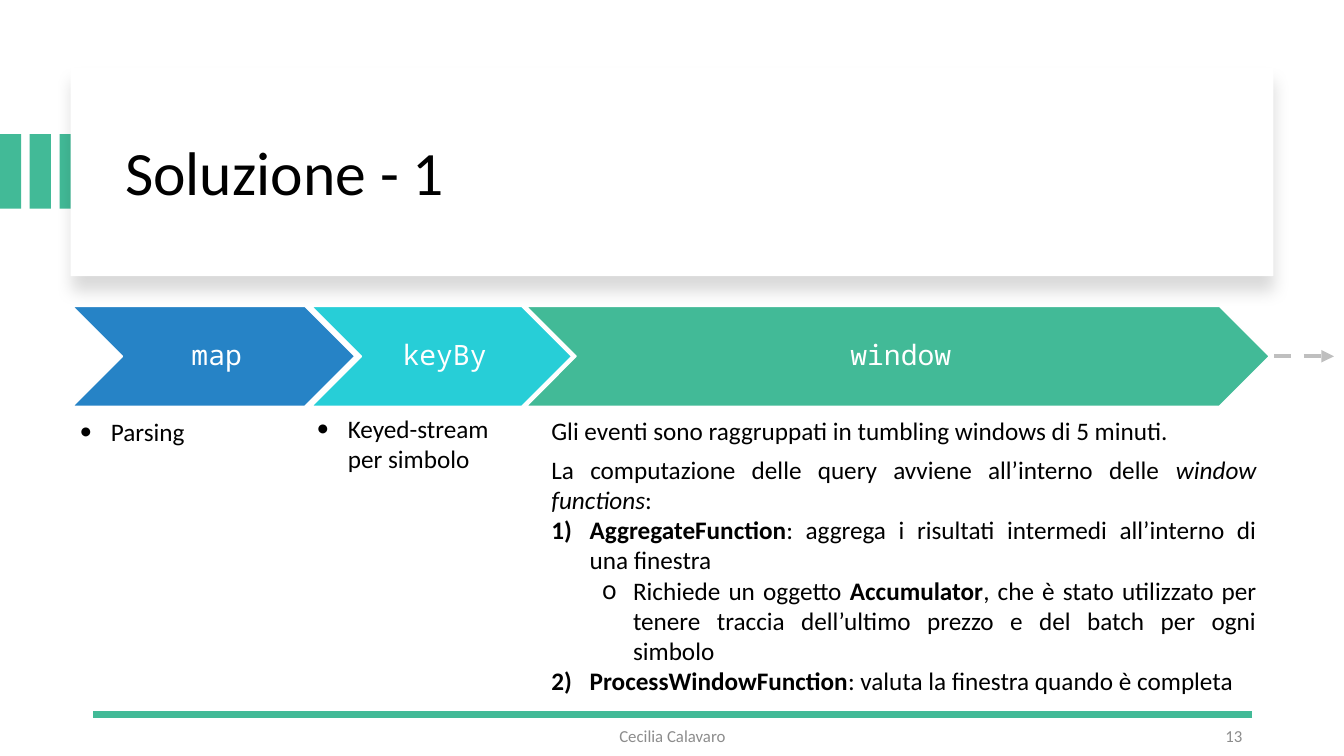
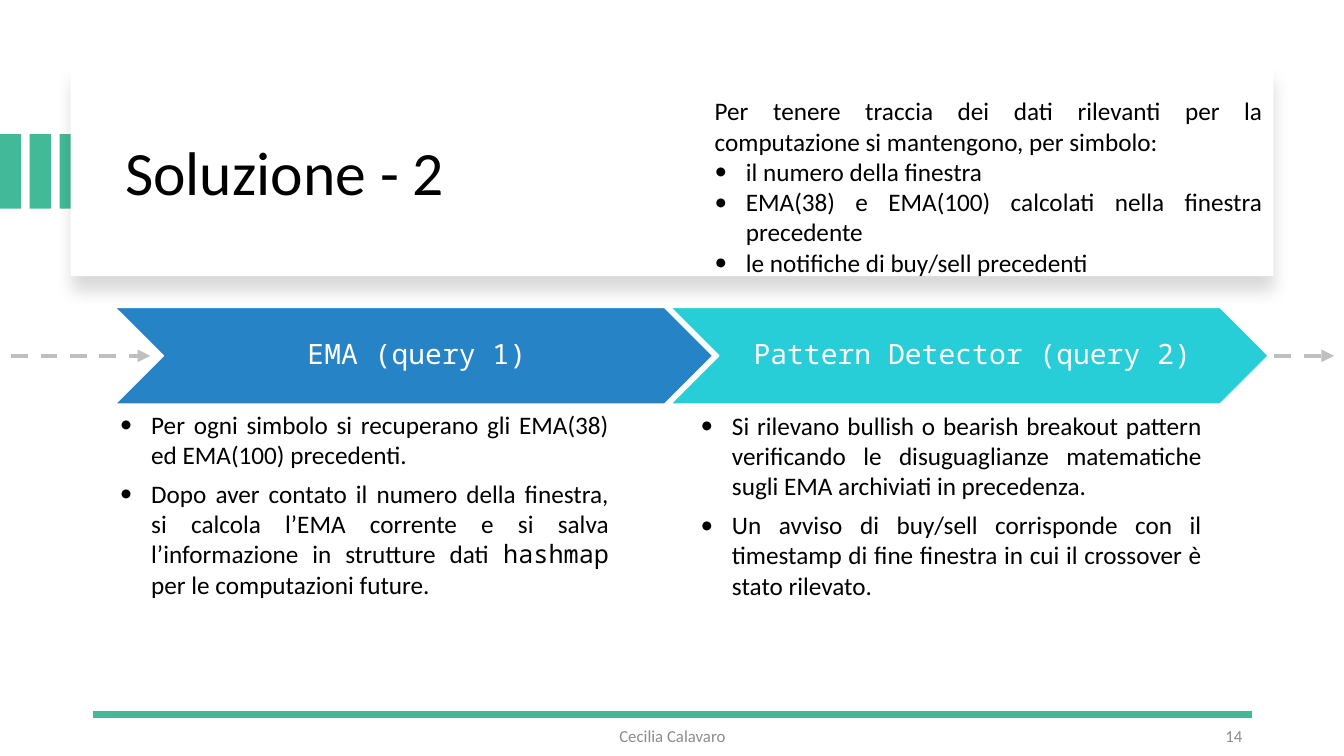
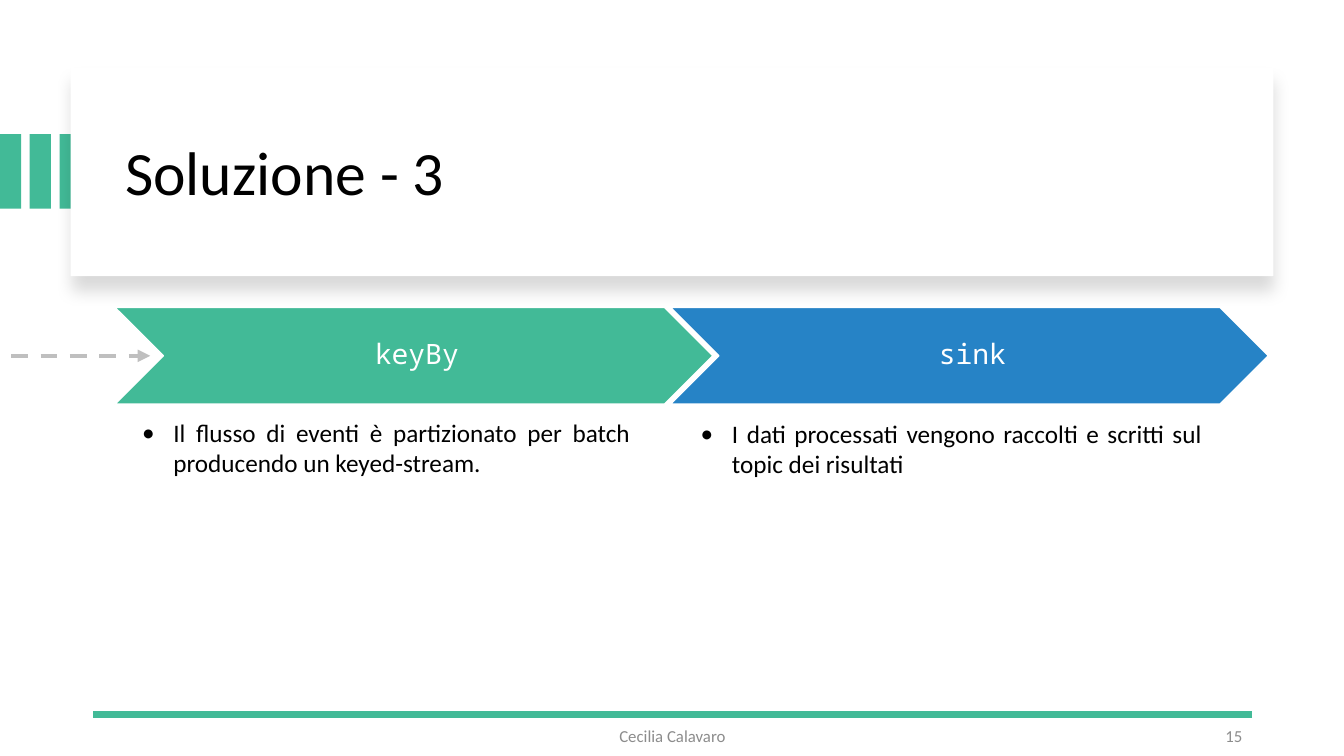
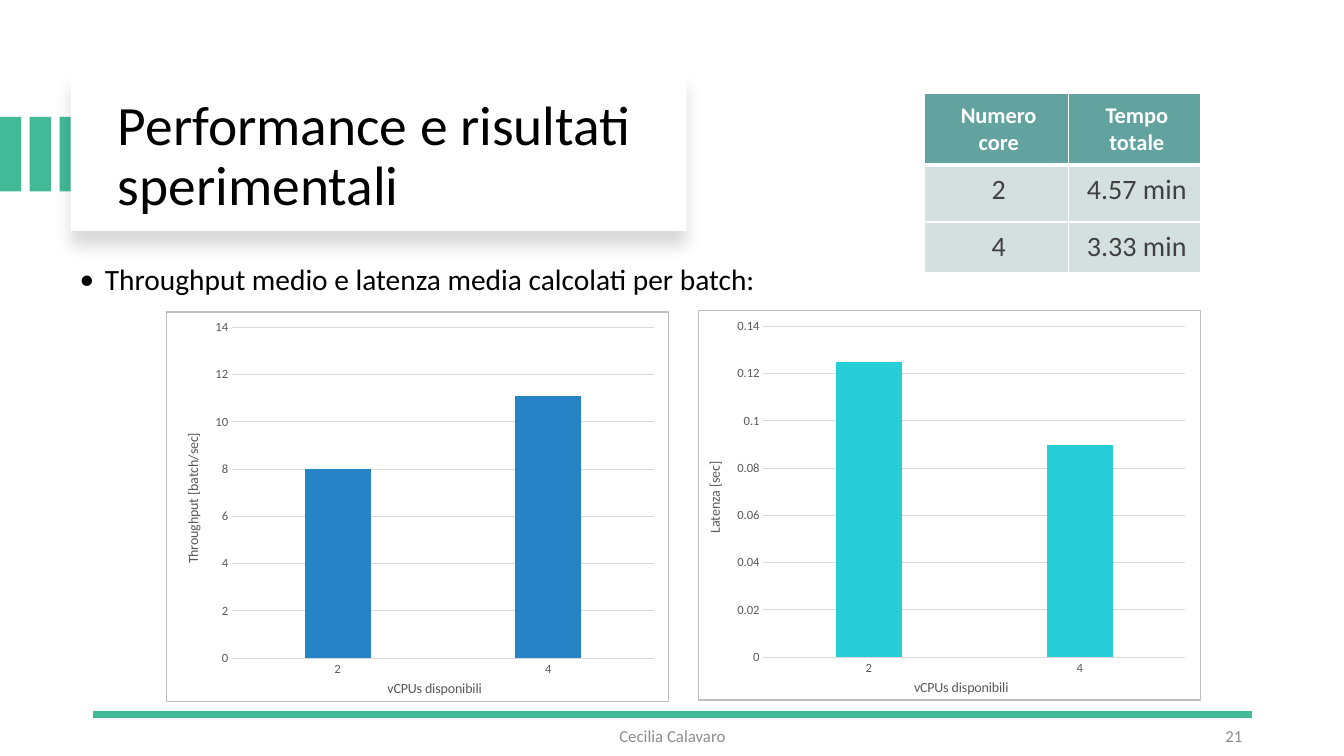
from pptx import Presentation
from pptx.chart import data as chart_data
from pptx.dml import color
from pptx.enum import chart as ce, dml, shapes, text
from pptx.oxml import ns, parse_xml
from pptx.util import Inches, Pt

GREEN, BLUE, CYAN = "42BA97", "2683C6", "27CED7"
WHITE, BLACK, GREY, ARROW = "FFFFFF", "000000", "8C8C8C", "BFBFBF"
AXIS, GRID, TEAL, PALE, DARK = "595959", "D9D9D9", "62A39F", "D3E0DF", "404040"
SANS, MONO = "Calibri", "Noto Sans Mono"
LEFT, CENTER, RIGHT, JUSTIFY = (
    text.PP_ALIGN.LEFT, text.PP_ALIGN.CENTER, text.PP_ALIGN.RIGHT, text.PP_ALIGN.JUSTIFY)
MIDDLE, TOP = text.MSO_ANCHOR.MIDDLE, text.MSO_ANCHOR.TOP

AUTHOR = "Cecilia Calavaro"
WIDE = {"card": (0.7, 0.67, 11.93, 2.07), "stripes": 1.33,
        "title_box": (1.14, 0.89, 11.13, 1.7), "title_size": 44}
NARROW = {"card": (0.7, 0.72, 6.11, 1.57), "stripes": 1.16,
          "title_box": (1.07, 1, 5.39, 1.13), "title_size": 39.6}

MARKERS = {
    "plain": (0, 0, 0, "<a:buNone/>", None),
    "dot": (0.31, -0.31, 0, '<a:buChar char="•"/>', SANS),
    "lead": (0.25, -0.25, 0, '<a:buChar char="•"/>', SANS),
    "number": (0.38, -0.38, 0, '<a:buAutoNum type="arabicParenR"/>', None),
    "circle": (0.81, -0.31, 1, '<a:buChar char="o"/>', MONO),
}

ENTRY, EXIT = (0.11, 1.49), (12.64, 13.23)
PIPELINES = [
    {"title": "Soluzione - 1", "number": 13, "band": (3.04, 0.99), "arrows": [EXIT],
     "steps": [("map", BLUE, 0.72, 2.8), ("keyBy", CYAN, 3.09, 2.58),
               ("window", GREEN, 5.22, 7.37)],
     "panels": [
         ((0.69, 4.08, 2.32, 0.71), LEFT, [("dot", 0, "Parsing")]),
         ((3.04, 4.05, 2.12, 0.71), LEFT, [("dot", 0, "Keyed-stream per simbolo")]),
         ((5.37, 4.07, 7.19, 2.91), JUSTIFY, [
             ("plain", 0, "Gli eventi sono raggruppati in tumbling windows di 5 minuti."),
             ("plain", 6, [("La computazione delle query avviene all’interno delle ", ""),
                           ("window functions", "italic"), (":", "")]),
             ("number", 0, [("AggregateFunction", "bold"),
                            (": aggrega i risultati intermedi all’interno di una finestra", "")]),
             ("circle", 0, [("Richiede un oggetto ", ""), ("Accumulator", "bold"),
                            (", che è stato utilizzato per tenere traccia dell’ultimo prezzo "
                             "e del batch per ogni simbolo", "")]),
             ("number", 0, [("ProcessWindowFunction", "bold"),
                            (": valuta la finestra quando è completa", "")]),
         ]),
     ]},
    {"title": "Soluzione - 2", "number": 14, "band": (3.05, 0.96), "arrows": [ENTRY, EXIT],
     "steps": [("EMA (query 1)", BLUE, 1.14, 5.93),
               ("Pattern Detector (query 2)", CYAN, 6.65, 5.93)],
     "panels": [
         ((1.09, 4.01, 5.05, 2), JUSTIFY, [
             ("dot", 0, "Per ogni simbolo si recuperano gli EMA(38) ed EMA(100) precedenti."),
             ("dot", 6, [("Dopo aver contato il numero della finestra, si calcola l’EMA corrente "
                          "e si salva l’informazione in strutture dati ", ""),
                         ("hashmap", "mono"), (" per le computazioni future.", "")]),
         ]),
         ((6.85, 4.02, 5.17, 2), JUSTIFY, [
             ("dot", 0, "Si rilevano bullish o bearish breakout pattern verificando le "
                        "disuguaglianze matematiche sugli EMA archiviati in precedenza."),
             ("dot", 6, "Un avviso di buy/sell corrisponde con il timestamp di fine finestra "
                        "in cui il crossover è stato rilevato."),
         ]),
         ((6.99, 0.9, 5.63, 1.92), JUSTIFY, [
             ("plain", 0, "Per tenere traccia dei dati rilevanti per la computazione si "
                          "mantengono, per simbolo:"),
             ("dot", 0, "il numero della finestra"),
             ("dot", 0, "EMA(38) e EMA(100) calcolati nella finestra precedente"),
             ("dot", 0, "le notifiche di buy/sell precedenti"),
         ]),
     ]},
    {"title": "Soluzione - 3", "number": 15, "band": (3.05, 0.96), "arrows": [ENTRY],
     "steps": [("keyBy", GREEN, 1.14, 5.93), ("sink", BLUE, 6.65, 5.93)],
     "panels": [
         ((1.31, 4.09, 5.04, 0.71), JUSTIFY, [
             ("dot", 0, "Il flusso di eventi è partizionato per batch producendo "
                        "un keyed-stream.")]),
         ((6.85, 4.1, 5.17, 0.71), JUSTIFY, [
             ("dot", 0, "I dati processati vengono raccolti e scritti sul topic dei risultati")]),
     ]},
]

RESULTS_TITLE = "Performance e risultati sperimentali"
RESULTS_LEAD = "Throughput medio e latenza media calcolati per batch:"
CORES = ["2", "4"]
CHARTS = [
    ((1.65, 3.09, 4.99, 3.87), "Throughput [batch/sec]", [8, 11.1], BLUE, 14, 2),
    ((6.92, 3.08, 4.99, 3.87), "Latenza [sec]", [0.125, 0.09], CYAN, 0.14, 0.02),
]
TIMES = [("Numero core", "Tempo totale"), ("2", "4.57 min"), ("4", "3.33 min")]
TIME_COLUMNS, TIME_ROWS = (1.43, 1.31), (0.57, 0.57, 0.43)


def rgb(value):
    return color.RGBColor.from_string(value)


def box(lengths):
    return [Inches(length) for length in lengths]


def xml(markup):
    return parse_xml(f'<a:wrap {ns.nsdecls("a", "c")}>{markup}</a:wrap>')[0]


def style_font(font, size, hue, face=SANS, bold=False, italic=False):
    font.size, font.name, font.bold, font.italic = Pt(size), face, bold, italic
    font.color.rgb = rgb(hue)


def write(frame, paragraphs, size=18, hue=BLACK, align=LEFT, anchor=TOP, spacing=1.0, face=SANS):
    frame.word_wrap = True
    frame.auto_size = text.MSO_AUTO_SIZE.NONE
    frame.vertical_anchor = anchor
    for index, (marker, before, content) in enumerate(paragraphs):
        paragraph = frame.add_paragraph() if index else frame.paragraphs[0]
        margin, indent, level, bullet, bullet_face = MARKERS[marker]
        paragraph.level = level
        properties = paragraph._p.get_or_add_pPr()
        properties.set("marL", str(Inches(margin)))
        properties.set("indent", str(Inches(indent)))
        if bullet_face:
            properties.append(xml(f'<a:buFont typeface="{bullet_face}"/>'))
        properties.append(xml(bullet))
        paragraph.alignment = align
        paragraph.line_spacing = spacing
        paragraph.space_before, paragraph.space_after = Pt(before), Pt(0)
        for words, style in [(content, "")] if isinstance(content, str) else content:
            run = paragraph.add_run()
            run.text = words
            style_font(run.font, size, hue, MONO if style == "mono" else face,
                       style == "bold", style == "italic")


def place(shape, lengths):
    shape.left, shape.top, shape.width, shape.height = box(lengths)
    return shape


def add_block(slide, kind, lengths, fill):
    block = slide.shapes.add_shape(kind, *box(lengths))
    block.shadow.inherit = False
    block.fill.solid()
    block.fill.fore_color.rgb = rgb(fill)
    block.line.fill.background()
    return block


def add_line(slide, start, end, hue, width, arrow=False):
    line = slide.shapes.add_connector(shapes.MSO_CONNECTOR.STRAIGHT, *box(start + end))
    line.line.color.rgb = rgb(hue)
    line.line.width = Pt(width)
    properties = line.element.spPr
    if arrow:
        line.line.dash_style = dml.MSO_LINE.DASH
        properties.find(ns.qn("a:ln")).append(xml('<a:tailEnd type="triangle"/>'))
    properties.append(xml("<a:effectLst/>"))


def add_text(slide, lengths, paragraphs, **style):
    write(slide.shapes.add_textbox(*box(lengths)).text_frame, paragraphs, **style)


def add_slide(deck, layout, title, number, look):
    slide = deck.slides.add_slide(deck.slide_layouts[layout])
    holders = list(slide.placeholders)
    for column in range(3):
        add_block(slide, shapes.MSO_SHAPE.RECTANGLE,
                  (column * 0.295, look["stripes"], 0.21, 0.74), GREEN)
    card = add_block(slide, shapes.MSO_SHAPE.RECTANGLE, look["card"], WHITE)
    card.element.spPr.find(ns.qn("a:effectLst")).append(xml(
        f'<a:outerShdw blurRad="{Pt(11)}" dist="{Pt(10)}" dir="5400000" rotWithShape="0">'
        '<a:srgbClr val="000000"><a:alpha val="15000"/></a:srgbClr></a:outerShdw>'))
    for holder in holders:
        slide.shapes.element.append(holder.element)
    write(place(slide.shapes.title, look["title_box"]).text_frame, [("plain", 0, title)],
          size=look["title_size"], anchor=MIDDLE, spacing=0.9)
    add_line(slide, (12.42, 7.09), (0.92, 7.09), GREEN, 4.5)
    for lengths, words, align in (((4.42, 7.1, 4.5, 0.4), AUTHOR, CENTER),
                                  ((9.42, 7.1, 3, 0.4), str(number), RIGHT)):
        add_text(slide, lengths, [("plain", 0, words)], size=12, hue=GREY,
                 align=align, anchor=MIDDLE)
    return slide, holders[1:]


def add_pipeline(deck, content):
    slide, holders = add_slide(deck, 3, content["title"], content["number"], WIDE)
    top, height = content["band"]
    for name, fill, left, width in content["steps"]:
        step = add_block(slide, shapes.MSO_SHAPE.CHEVRON, (left, top, width, height), fill)
        step.line.color.rgb = rgb(WHITE)
        step.line.width = Pt(1)
        frame = step.text_frame
        frame.margin_left = Inches(0.09)
        frame.margin_top = frame.margin_right = frame.margin_bottom = Inches(0.03)
        write(frame, [("plain", 0, name)], size=20, hue=WHITE, align=CENTER,
              anchor=MIDDLE, spacing=0.9, face=MONO)
    middle = top + height / 2
    for start, end in content["arrows"]:
        add_line(slide, (start, middle), (end, middle), ARROW, 3, arrow=True)
    for index, (lengths, align, paragraphs) in enumerate(content["panels"]):
        if index < len(holders):
            write(place(holders[index], lengths).text_frame, paragraphs, align=align)
        else:
            add_text(slide, lengths, paragraphs, align=align)


def add_bars(slide, lengths, value_title, values, fill, maximum, step):
    figures = chart_data.CategoryChartData()
    figures.categories = CORES
    figures.add_series("Series 1", values)
    chart = slide.shapes.add_chart(ce.XL_CHART_TYPE.COLUMN_CLUSTERED, *box(lengths), figures).chart
    chart.has_legend = chart.has_title = False
    style_font(chart.font, 10, BLACK)
    plot = chart.plots[0]
    plot.gap_width, plot.overlap, plot.vary_by_categories = 219, -27, False
    bars = plot.series[0].format.fill
    bars.solid()
    bars.fore_color.rgb = rgb(fill)
    for axis, title in ((chart.category_axis, "vCPUs disponibili"),
                        (chart.value_axis, value_title)):
        axis.major_tick_mark = axis.minor_tick_mark = ce.XL_TICK_MARK.NONE
        style_font(axis.tick_labels.font, 9, AXIS)
        run = axis.axis_title.text_frame.paragraphs[0].add_run()
        run.text = title
        style_font(run.font, 10, AXIS)
    value_axis = chart.value_axis
    value_axis.minimum_scale, value_axis.maximum_scale, value_axis.major_unit = 0, maximum, step
    value_axis.tick_labels.number_format = "General"
    value_axis.tick_labels.number_format_is_linked = False
    value_axis.format.line.fill.background()
    for line in (chart.category_axis.format.line, value_axis.major_gridlines.format.line):
        line.color.rgb = rgb(GRID)
        line.width = Pt(0.75)
    body = chart.element.find(ns.qn("c:chart"))
    body.addnext(xml(
        f'<c:spPr><a:solidFill><a:srgbClr val="{WHITE}"/></a:solidFill><a:ln w="{Pt(0.75)}">'
        f'<a:solidFill><a:srgbClr val="{ARROW}"/></a:solidFill></a:ln></c:spPr>'))
    area = body.find(ns.qn("c:plotArea"))
    for layout in area.findall(ns.qn("c:layout")):
        area.remove(layout)
    sizes = "".join(f'<c:{key} val="{share}"/>' for key, share in
                    (("x", 0.13), ("y", 0.04), ("w", 0.84), ("h", 0.85)))
    area.insert(0, xml('<c:layout><c:manualLayout><c:layoutTarget val="inner"/>'
                       '<c:xMode val="edge"/><c:yMode val="edge"/>'
                       f'{sizes}</c:manualLayout></c:layout>'))


def add_times(slide):
    table = slide.shapes.add_table(len(TIME_ROWS), len(TIME_COLUMNS), *box(
        (9.17, 0.93, sum(TIME_COLUMNS), sum(TIME_ROWS)))).table
    for column, width in zip(table.columns, TIME_COLUMNS):
        column.width = Inches(width)
    for index, (row, height) in enumerate(zip(table.rows, TIME_ROWS)):
        row.height = Inches(height)
        header = index == 0
        weights = {"L": 1, "R": 1, "T": 3 if index == 1 else 1, "B": 3 if header else 1}
        for cell, words in zip(row.cells, TIMES[index]):
            cell.margin_left, cell.margin_right = Inches(0.15), Inches(0.11)
            cell.margin_top = cell.margin_bottom = Inches(0.08)
            for side, weight in weights.items():
                cell._tc.get_or_add_tcPr().append(xml(
                    f'<a:ln{side} w="{Pt(weight)}"><a:solidFill><a:srgbClr val="{WHITE}"/>'
                    f'</a:solidFill></a:ln{side}>'))
            cell.fill.solid()
            cell.fill.fore_color.rgb = rgb(TEAL if header else PALE)
            paragraph = cell.text_frame.paragraphs[0]
            paragraph.alignment = CENTER
            run = paragraph.add_run()
            run.text = words
            style_font(run.font, 16 if header else 20, WHITE if header else DARK, bold=header)


def add_results(deck):
    slide, holders = add_slide(deck, 1, RESULTS_TITLE, 21, NARROW)
    write(place(holders[0], (0.69, 2.58, 7.21, 0.42)).text_frame, [("lead", 0, RESULTS_LEAD)],
          size=21, align=JUSTIFY, anchor=MIDDLE, spacing=0.9)
    for bars in CHARTS:
        add_bars(slide, *bars)
    add_times(slide)


def main():
    deck = Presentation()
    deck.slide_width, deck.slide_height = Inches(13.33), Inches(7.5)
    for content in PIPELINES:
        add_pipeline(deck, content)
    add_results(deck)
    deck.save("out.pptx")


if __name__ == "__main__":
    main()
